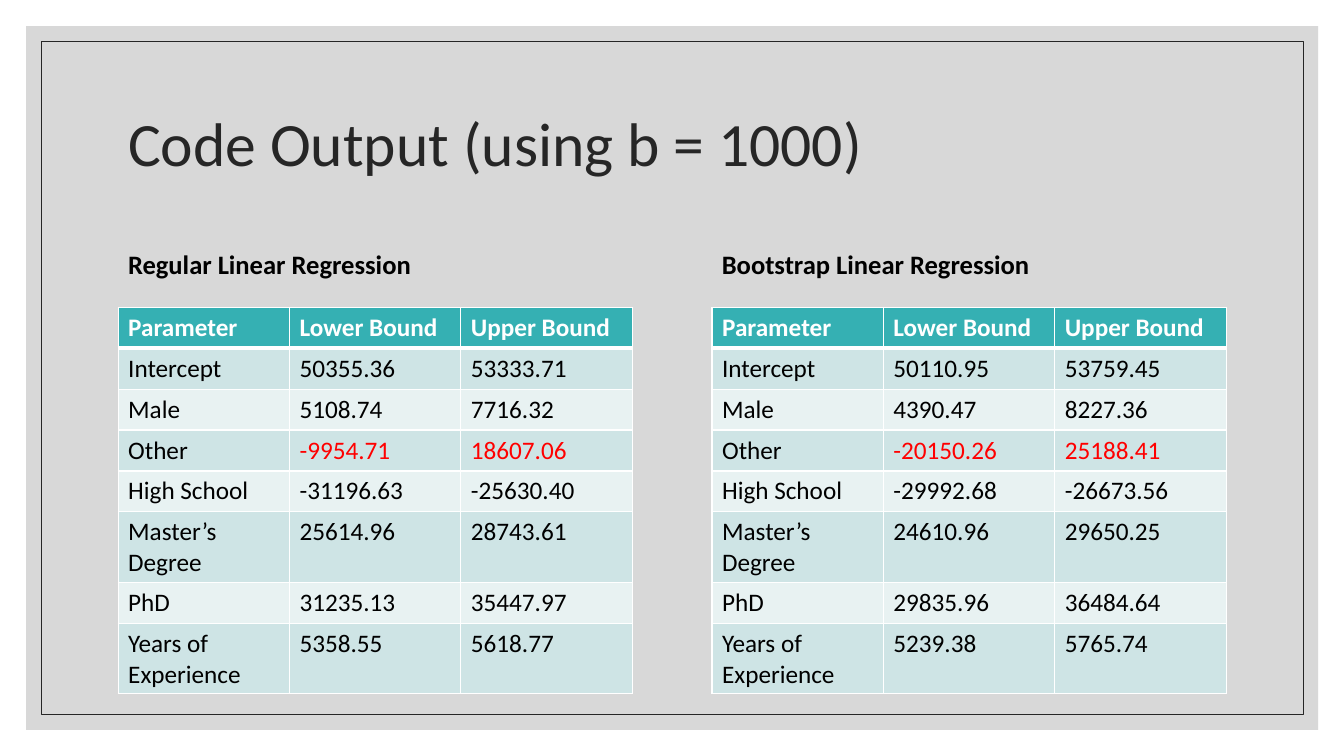
from lxml import etree
from pptx import Presentation
from pptx.dml.color import RGBColor
from pptx.enum.shapes import MSO_SHAPE
from pptx.enum.text import MSO_ANCHOR
from pptx.oxml.ns import qn
from pptx.util import Pt

COLORS = {
    "panel": "BFBFBF", "frame": "262626", "title": "262626",
    "text": "000000", "alert": "FF0000", "white": "FFFFFF",
    "header": "35B0B3", "odd": "CEE4E5", "even": "E8F2F2",
}
FONT = "Calibri"
HEADER = ["Parameter", "Lower Bound", "Upper Bound"]
PARAMETERS = ["Intercept", "Male", "Other", "High School",
              "Master’s Degree", "PhD", "Years of Experience"]
ALERT_PARAMETER = "Other"
REGRESSIONS = [
    ("Regular Linear Regression", 84.4,
     ["50355.36", "5108.74", "-9954.71", "-31196.63", "25614.96", "31235.13", "5358.55"],
     ["53333.71", "7716.32", "18607.06", "-25630.40", "28743.61", "35447.97", "5618.77"]),
    ("Bootstrap Linear Regression", 508.6,
     ["50110.95", "4390.47", "-20150.26", "-29992.68", "24610.96", "29835.96", "5239.38"],
     ["53759.45", "8227.36", "25188.41", "-26673.56", "29650.25", "36484.64", "5765.74"]),
]
COLUMN_WIDTH, ROW_HEIGHT = 122.4, 29.2
TABLE_WIDTH = COLUMN_WIDTH * len(HEADER)


def style_text(frame, size, color, bold=False):
    para = frame.paragraphs[0]
    for span in para.runs:
        span.font.name = FONT
        span.font.size = Pt(size)
        span.font.bold = bold
        span.font.color.rgb = RGBColor.from_string(COLORS[color])
    return para


def add_label(left, top, width, height, text, size, color, bold=False):
    box = page.shapes.add_textbox(Pt(left), Pt(top), Pt(width), Pt(height))
    frame = box.text_frame
    frame.word_wrap = True
    frame.vertical_anchor = MSO_ANCHOR.MIDDLE
    frame.text = text
    return style_text(frame, size, color, bold)


deck = Presentation()
deck.slide_width, deck.slide_height = Pt(960), Pt(540)
page = deck.slides.add_slide(deck.slide_layouts[6])

# Translucent panel and thin frame
panel = page.shapes.add_shape(MSO_SHAPE.RECTANGLE, Pt(18.7), Pt(18.7), Pt(922.8), Pt(502.6))
panel.shadow.inherit = False
panel.fill.solid()
panel.fill.fore_color.rgb = RGBColor.from_string(COLORS["panel"])
panel.line.fill.background()
panel_color = panel.fill._xPr.find(qn("a:solidFill"))[0]
etree.SubElement(panel_color, qn("a:alpha"), val="60000")

frame_box = page.shapes.add_shape(MSO_SHAPE.RECTANGLE, Pt(29.5), Pt(29.5), Pt(901.4), Pt(481))
frame_box.shadow.inherit = False
frame_box.fill.background()
frame_box.line.color.rgb = RGBColor.from_string(COLORS["frame"])
frame_box.line.width = Pt(0.5)

# Title
title = add_label(84.4, 50.4, 792, 108, "Code Output (using b = 1000)", 44, "title")
title.line_spacing = 0.9

# One heading and one table for each regression
for heading, left, lower, upper in REGRESSIONS:
    add_label(left, 163.4, TABLE_WIDTH, 50.4, heading, 19, "text", bold=True)

    rows = [HEADER, *zip(PARAMETERS, lower, upper)]
    table = page.shapes.add_table(
        len(rows), len(HEADER), Pt(left), Pt(219.6),
        Pt(TABLE_WIDTH), Pt(ROW_HEIGHT * len(rows))).table
    for column in table.columns:
        column.width = Pt(COLUMN_WIDTH)

    for r, values in enumerate(rows):
        table.rows[r].height = Pt(ROW_HEIGHT)
        for c, value in enumerate(values):
            cell = table.cell(r, c)
            cell.text = value
            if r == 0:
                fill, color = "header", "white"
            else:
                fill = "odd" if r % 2 else "even"
                color = "alert" if values[0] == ALERT_PARAMETER and c else "text"
            style_text(cell.text_frame, 18, color, bold=r == 0)

            # White borders, thick below the header
            properties = cell._tc.get_or_add_tcPr()
            for side in ("lnL", "lnR", "lnT", "lnB"):
                thick = (r, side) in ((0, "lnB"), (1, "lnT"))
                border = etree.SubElement(properties, qn(f"a:{side}"), w=str(Pt(3 if thick else 1)))
                solid = etree.SubElement(border, qn("a:solidFill"))
                etree.SubElement(solid, qn("a:srgbClr"), val=COLORS["white"])
            cell.fill.solid()
            cell.fill.fore_color.rgb = RGBColor.from_string(COLORS[fill])

deck.save("out.pptx")
